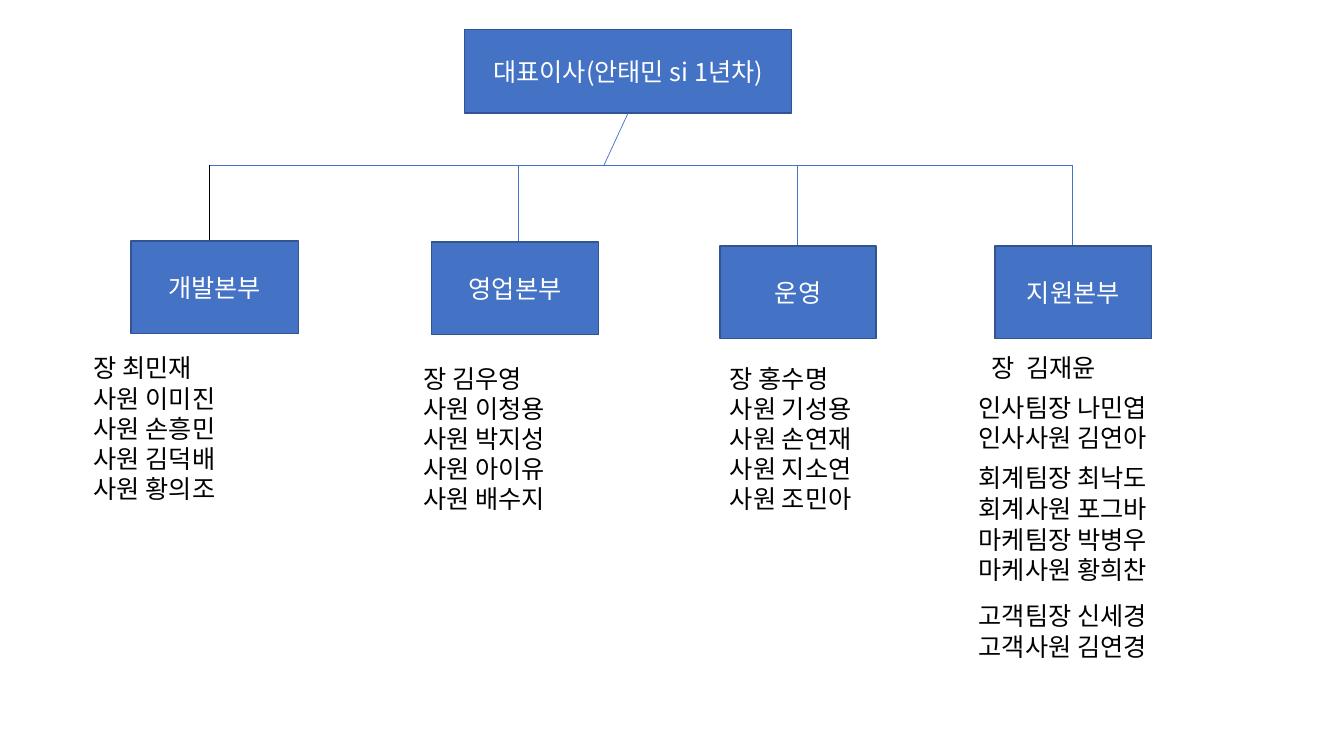
from lxml import etree
from pptx import Presentation
from pptx.dml.color import RGBColor
from pptx.enum.shapes import MSO_CONNECTOR, MSO_SHAPE
from pptx.enum.text import MSO_ANCHOR, MSO_AUTO_SIZE, PP_ALIGN
from pptx.oxml.ns import qn
from pptx.util import Pt

PX = 9144
FONT = "Noto Sans CJK KR"
RECT = MSO_SHAPE.RECTANGLE
STRAIGHT = MSO_CONNECTOR.STRAIGHT
LEFT, CENTER = PP_ALIGN.LEFT, PP_ALIGN.CENTER
TOP, MIDDLE = MSO_ANCHOR.TOP, MSO_ANCHOR.MIDDLE
FIXED = MSO_AUTO_SIZE.NONE
COLORS = {"blue": "4472C4", "edge": "325491", "black": "000000", "white": "FFFFFF"}


def write(shape, text, color="black", align=LEFT, anchor=TOP, side=10, fill=None):
    if fill:
        shape.fill.solid()
        shape.fill.fore_color.rgb = RGBColor.from_string(COLORS[fill])
        shape.line.color.rgb = RGBColor.from_string(COLORS["edge"])
        shape.line.width = Pt(1)
    frame = shape.text_frame
    frame.auto_size = FIXED
    frame.word_wrap = True
    frame.vertical_anchor = anchor
    frame.margin_left = frame.margin_right = side * PX
    frame.margin_top = frame.margin_bottom = 5 * PX
    frame.text = text
    for para in frame.paragraphs:
        para.alignment = align
        for run in para.runs:
            run.font.size = Pt(18)
            run.font.name = FONT
            run.font.color.rgb = RGBColor.from_string(COLORS[color])
            east = etree.SubElement(run.font._element, qn("a:ea"))
            east.set("typeface", FONT)


deck = Presentation()
deck.slide_width, deck.slide_height = 1333 * PX, 750 * PX
slide = deck.slides.add_slide(deck.slide_layouts[5])
label = {"color": "white", "align": CENTER, "anchor": MIDDLE, "fill": "blue"}

chief = slide.shapes.title
chief.left, chief.top, chief.width, chief.height = [n * PX for n in (461, 29, 324, 83)]
write(chief, "대표이사(안태민 si 1년차)", side=5, **label)

RAIL = 164
lines = [
    (623, 112, 599, RAIL, "blue"),
    (208, RAIL, 1064, RAIL, "blue"),
    (208, RAIL, 208, 289, "black"),
    (514, RAIL, 514, 289, "blue"),
    (791, RAIL, 791, 297, "blue"),
    (1064, RAIL, 1064, 297, "blue"),
]
for *ends, color in lines:
    line = slide.shapes.add_connector(STRAIGHT, *[n * PX for n in ends])
    line.line.color.rgb = RGBColor.from_string(COLORS[color])
    line.line.width = Pt(0.5)
    etree.SubElement(line._element.spPr, qn("a:effectLst"))

units = [
    ("개발본부", 130, 239, 166),
    ("영업본부", 428, 240, 166),
    ("운영", 714, 244, 155),
    ("지원본부", 987, 244, 155),
]
for name, left, top, width in units:
    box = slide.shapes.add_shape(RECT, left * PX, top * PX, width * PX, 92 * PX)
    box.shadow.inherit = False
    write(box, name, **label)

staff = [
    (83, 345, 155, 222, ["장 최민재", "사원 이미진", "사원 손흥민", "사원 김덕배", "사원 황의조"]),
    (410, 355, 155, 192, ["장 김우영", "사원 이청용", "사원 박지성", "사원 아이유", "사원 배수지"]),
    (714, 355, 155, 192, ["장 홍수명", "사원 기성용", "사원 손연재", "사원 지소연", "사원 조민아"]),
    (974, 345, 139, 40, ["장  김재윤"]),
    (961, 384, 206, 71, ["인사팀장 나민엽", "인사사원 김연아"]),
    (961, 454, 206, 71, ["회계팀장 최낙도", "회계사원 포그바"]),
    (961, 515, 206, 71, ["마케팀장 박병우", "마케사원 황희찬"]),
    (961, 591, 206, 71, ["고객팀장 신세경", "고객사원 김연경"]),
]
for *area, names in staff:
    box = slide.shapes.add_textbox(*[n * PX for n in area])
    write(box, "\n".join(names))

deck.save("out.pptx")
